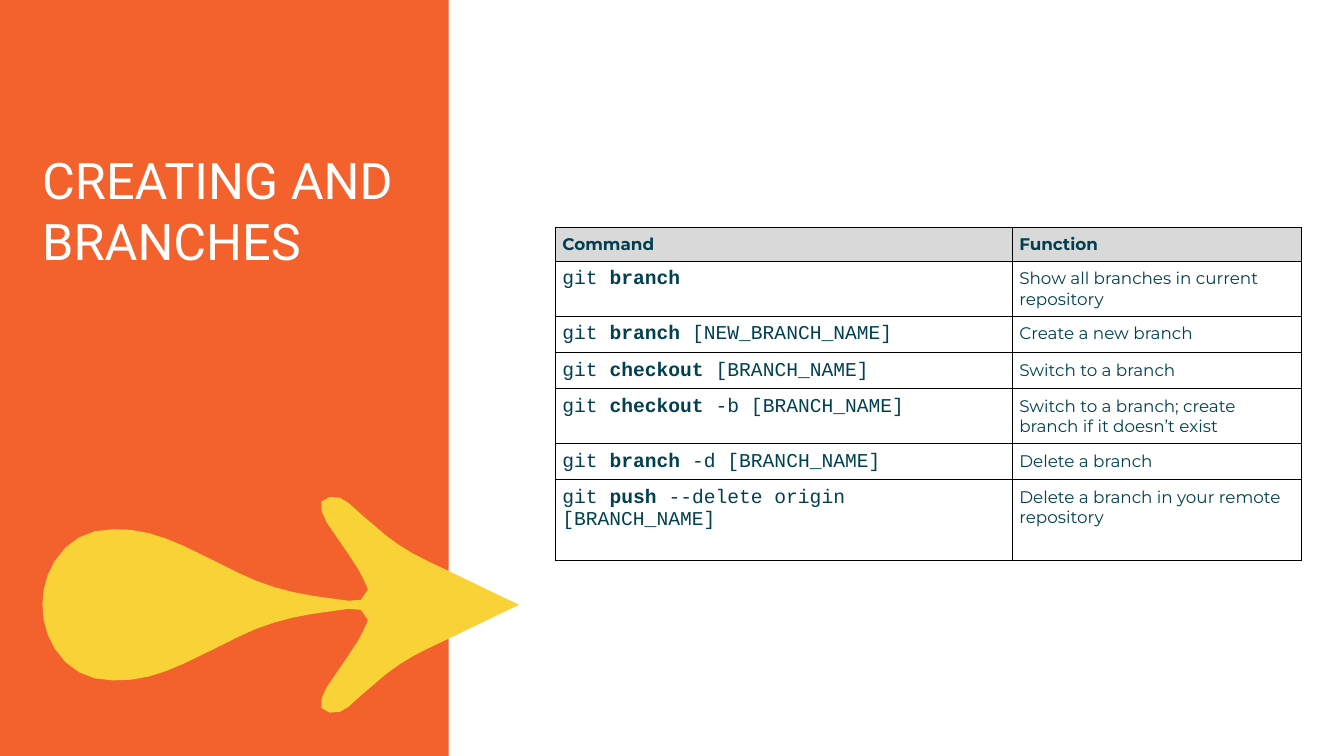
import math

from lxml import etree
from pptx import Presentation
from pptx import util as u
from pptx.dml import color
from pptx.enum import shapes
from pptx.oxml import ns

Pt = u.Pt
ORANGE, YELLOW, TEAL, GREY, WHITE = "F3612C", "F8D237", "004050", "D9D9D9", "FFFFFF"
TITLE = "CREATING AND BRANCHES"
HEADER = ("Command", "Function")
COMMANDS = [
    (("git ", "branch", ""), "Show all branches in current repository"),
    (("git ", "branch", " [NEW_BRANCH_NAME]"), "Create a new branch"),
    (("git ", "checkout", " [BRANCH_NAME]"), "Switch to a branch"),
    (("git ", "checkout", " -b [BRANCH_NAME]"), "Switch to a branch; create branch if it doesn’t exist"),
    (("git ", "branch", " -d [BRANCH_NAME]"), "Delete a branch"),
    (("git ", "push", " --delete origin [BRANCH_NAME]"), "Delete a branch in your remote repository"),
]
COL_WIDTHS = (326.4, 206.4)
ROW_HEIGHTS = (24.3, 39.3, 25.8, 25.8, 39.3, 25.8, 57.8)
AXIS = 432
ARROW_START = (30.3, AXIS)
ARROW_CURVES = [
    ((30.3, 421), (33, 410.5), (38.9, 401)),
    ((48.2, 385.9), (62.6, 378), (80.6, 378)),
    ((98.6, 377.3), (114.5, 382.3), (130.3, 389.5)),
    ((144, 396), (157, 402.5), (169.9, 409)),
    ((187.2, 417.6), (204.5, 422.6), (223.2, 425.5)),
    ((231.8, 427), (240.5, 427.7), (249.1, 429.1)),
    ((252, 429.1), (254.9, 429.1), (257.8, 428.4)),
    ((261.4, 427.7), (263.5, 424.1), (262.8, 421.2)),
    ((262.8, 420.5), (262.8, 419.8), (262.1, 419)),
    ((260.6, 414.7), (257.8, 410.4), (255.6, 406.1)),
    ((248.4, 394.6), (240.5, 383.8), (233.3, 373)),
    ((231.8, 370.8), (230.4, 367.9), (229.7, 365)),
    ((227.5, 360), (229.7, 355.7), (235.4, 355)),
    ((240.5, 354.2), (245.5, 355.7), (249.1, 359.3)),
    ((254.9, 364.3), (260.6, 370.1), (267.1, 375.1)),
    ((277.9, 385.2), (290.9, 393.8), (304.6, 400.3)),
    ((326.2, 410.4), (347.8, 421.2), (370.8, AXIS)),
]


def rgb(value):
    return color.RGBColor.from_string(value)


def paint(sp, fill):
    sp.fill.solid()
    sp.fill.fore_color.rgb = rgb(fill)
    sp.line.fill.background()
    sp.shadow.inherit = False


def write(p, content, size=12, font="Montserrat", fill=TEAL, bold=False):
    r = p.add_run()
    r.text = content
    r.font.size, r.font.name, r.font.bold = Pt(size), font, bold
    r.font.color.rgb = rgb(fill)


def flatten(start, curves, spacing=18):
    points = [start]
    for c1, c2, end in curves:
        first = points[-1]
        steps = 1 + round(math.dist(first, end) / spacing)
        for i in range(1, steps + 1):
            t = i / steps
            weights = ((1 - t) ** 3, 3 * t * (1 - t) ** 2, 3 * t * t * (1 - t), t ** 3)
            points.append(tuple(sum(w * v for w, v in zip(weights, axis))
                                for axis in zip(first, c1, c2, end)))
    return points


def add_borders(cell):
    props = cell._tc.get_or_add_tcPr()
    for side in ("lnL", "lnR", "lnT", "lnB"):
        ln = etree.SubElement(props, ns.qn("a:" + side), w=str(Pt(0.75)))
        solid = etree.SubElement(ln, ns.qn("a:solidFill"))
        etree.SubElement(solid, ns.qn("a:srgbClr"), val="000000")


def add_title(s):
    tf = s.shapes.add_textbox(Pt(30.2), Pt(106.6), Pt(271.4), Pt(216.7)).text_frame
    tf.word_wrap = True
    tf.margin_left = tf.margin_right = tf.margin_top = tf.margin_bottom = 0
    write(tf.paragraphs[0], TITLE, size=36, font="Roboto", fill=WHITE)


def add_arrow(s):
    upper = flatten(ARROW_START, ARROW_CURVES)
    lower = [(x, 2 * AXIS - y) for x, y in reversed(upper[1:-1])]
    outline = [(Pt(x), Pt(y)) for x, y in upper + lower]
    builder = s.shapes.build_freeform(*outline[0])
    builder.add_line_segments(outline[1:], close=True)
    paint(builder.convert_to_shape(), YELLOW)


def add_commands(s):
    rows = [HEADER] + COMMANDS
    table = s.shapes.add_table(len(rows), 2, Pt(396.7), Pt(162.3),
                               Pt(sum(COL_WIDTHS)), Pt(sum(ROW_HEIGHTS))).table
    for column, width in zip(table.columns, COL_WIDTHS):
        column.width = Pt(width)
    for i, (row, height, contents) in enumerate(zip(table.rows, ROW_HEIGHTS, rows)):
        row.height = Pt(height)
        for cell, content in zip(row.cells, contents):
            cell.margin_left = cell.margin_right = Pt(5)
            cell.margin_top, cell.margin_bottom = Pt(5.3), Pt(3.5)
            add_borders(cell)
            if i == 0:
                cell.fill.solid()
                cell.fill.fore_color.rgb = rgb(GREY)
            else:
                cell.fill.background()
            p = cell.text_frame.paragraphs[0]
            if isinstance(content, str):
                write(p, content, bold=i == 0)
                continue
            for k, part in enumerate(content):
                if part:
                    write(p, part, size=14, font="Courier New", bold=k == 1)


def main():
    prs = Presentation()
    prs.slide_width, prs.slide_height = Pt(960), Pt(540)
    s = prs.slides.add_slide(prs.slide_layouts[6])
    panel = s.shapes.add_shape(shapes.MSO_SHAPE.RECTANGLE, 0, 0, Pt(320.4), Pt(540))
    paint(panel, ORANGE)
    add_arrow(s)
    add_title(s)
    add_commands(s)
    prs.save("out.pptx")


if __name__ == "__main__":
    main()
